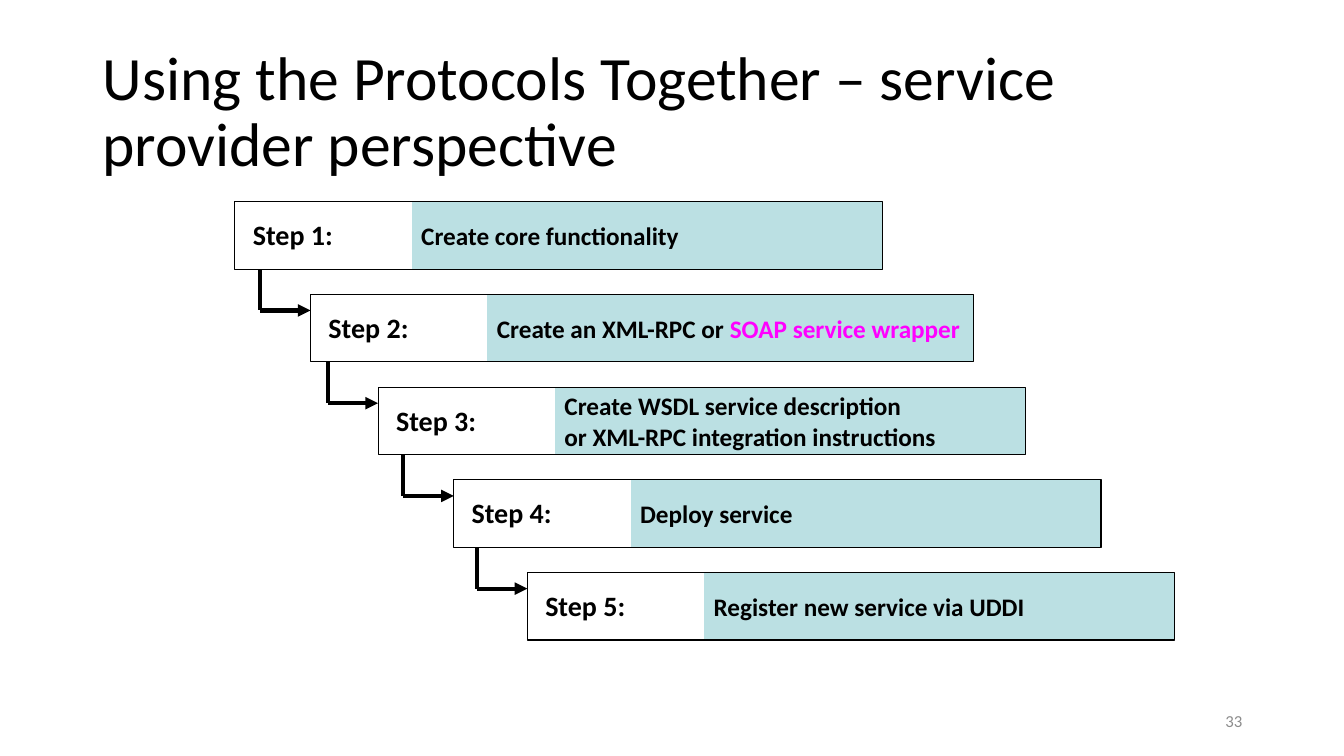
from dataclasses import dataclass

import pptx
import pptx.dml.color
import pptx.enum.shapes
import pptx.enum.text
import pptx.oxml.xmlchemy
import pptx.shapes.autoshape
import pptx.shapes.connector
import pptx.slide
import pptx.text.text
import pptx.util

Inches = pptx.util.Inches
Pt = pptx.util.Pt
RGBColor = pptx.dml.color.RGBColor
Align = pptx.enum.text.PP_ALIGN
Anchor = pptx.enum.text.MSO_ANCHOR
OxmlElement = pptx.oxml.xmlchemy.OxmlElement

BLACK = RGBColor(0x00, 0x00, 0x00)
WHITE = RGBColor(0xFF, 0xFF, 0xFF)
TEAL = RGBColor(0xBB, 0xE0, 0xE3)
MAGENTA = RGBColor(0xFF, 0x00, 0xFF)
GREY = RGBColor(0x8C, 0x8C, 0x8C)

FONT = "Calibri"
FIRST_TOP = 2.0
STEP_PITCH = 0.92
STEP_HEIGHT = 0.67
LABEL_WIDTH = 1.75
ARROW_LENGTH = 0.5
ARROW_DROP = 0.16


@dataclass(frozen=True)
class Step:
    left: float
    lines: tuple[str, ...]
    highlight: str = ""
    action_width: float = 4.67


STEPS = (
    Step(2.33, ("Create core functionality",)),
    Step(3.08, ("Create an XML-RPC or ",), "SOAP service wrapper", 4.83),
    Step(3.75, ("Create WSDL service description",
                "or XML-RPC integration instructions")),
    Step(4.5, ("Deploy service",)),
    Step(5.23, ("Register new service via UDDI",)),
)


def style_span(span: pptx.text.text._Run, size: float, color: RGBColor, bold: bool) -> None:
    span.font.name = FONT
    span.font.size = Pt(size)
    span.font.bold = bold
    span.font.color.rgb = color


def write_lines(frame: pptx.text.text.TextFrame, lines: tuple[str, ...], size: float,
                color: RGBColor = BLACK, bold: bool = False,
                align: Align = Align.LEFT) -> None:
    frame.text = "\n".join(lines)
    for para in frame.paragraphs:
        para.alignment = align
        for span in para.runs:
            style_span(span, size, color, bold)


def add_text_box(page: pptx.slide.Slide, left: float, top: float, width: float,
                 height: float) -> pptx.text.text.TextFrame:
    box = page.shapes.add_textbox(Inches(left), Inches(top), Inches(width), Inches(height))
    return box.text_frame


def add_box(page: pptx.slide.Slide, left: float, top: float, width: float,
            line: RGBColor) -> pptx.shapes.autoshape.Shape:
    """Add an unfilled rectangle of one step's height."""
    box = page.shapes.add_shape(pptx.enum.shapes.MSO_SHAPE.RECTANGLE, Inches(left),
                                Inches(top), Inches(width), Inches(STEP_HEIGHT))
    box.shadow.inherit = False
    box.fill.background()
    box.line.color.rgb = line
    box.line.width = Pt(0.75)
    return box


def add_line(page: pptx.slide.Slide, start: tuple[float, float],
             end: tuple[float, float]) -> pptx.shapes.connector.Connector:
    line = page.shapes.add_connector(pptx.enum.shapes.MSO_CONNECTOR.STRAIGHT,
                                     *map(Inches, start + end))
    line.line.color.rgb = BLACK
    line.line.width = Pt(3)
    line._element.spPr.append(OxmlElement("a:effectLst"))
    return line


def add_step(page: pptx.slide.Slide, number: int, step: Step, top: float) -> None:
    action = add_box(page, step.left + LABEL_WIDTH, top, step.action_width, WHITE)
    action.fill.solid()
    action.fill.fore_color.rgb = TEAL
    frame = action.text_frame
    frame.word_wrap = False
    frame.vertical_anchor = Anchor.MIDDLE
    write_lines(frame, step.lines, 18, bold=True)
    if step.highlight:
        span = frame.paragraphs[-1].add_run()
        span.text = step.highlight
        style_span(span, 18, MAGENTA, True)

    label = add_text_box(page, step.left + 0.08, top + 0.11, 1, 0.44)
    label.word_wrap = False
    label.auto_size = pptx.enum.text.MSO_AUTO_SIZE.SHAPE_TO_FIT_TEXT
    write_lines(label, (f"Step {number}:",), 20, bold=True)

    add_box(page, step.left, top, LABEL_WIDTH + step.action_width, BLACK)


def add_step_arrow(page: pptx.slide.Slide, left: float, top: float) -> None:
    """Lead from the bottom of the previous step into the step at left, top."""
    corner = (left - ARROW_LENGTH, top + ARROW_DROP)
    arrow = add_line(page, corner, (left, top + ARROW_DROP))
    head = OxmlElement("a:tailEnd")
    head.set("type", "triangle")
    arrow.line._get_or_add_ln().append(head)
    add_line(page, (corner[0], top - STEP_PITCH + STEP_HEIGHT), corner)


def main() -> None:
    deck = pptx.Presentation()
    deck.slide_width = Inches(13.33)
    deck.slide_height = Inches(7.5)
    page = deck.slides.add_slide(deck.slide_layouts[6])

    title = add_text_box(page, 0.92, 0.4, 11.5, 1.45)
    title.word_wrap = True
    title.vertical_anchor = Anchor.MIDDLE
    write_lines(title, ("Using the Protocols Together – service provider perspective",), 44)
    title.paragraphs[0].line_spacing = 0.9

    for index, step in enumerate(STEPS):
        top = FIRST_TOP + index * STEP_PITCH
        add_step(page, index + 1, step, top)
        if index:
            add_step_arrow(page, step.left, top)

    page_number = add_text_box(page, 9.42, 6.95, 3, 0.4)
    page_number.word_wrap = True
    page_number.vertical_anchor = Anchor.MIDDLE
    write_lines(page_number, ("33",), 12, GREY, align=Align.RIGHT)

    deck.save("out.pptx")


if __name__ == "__main__":
    main()
